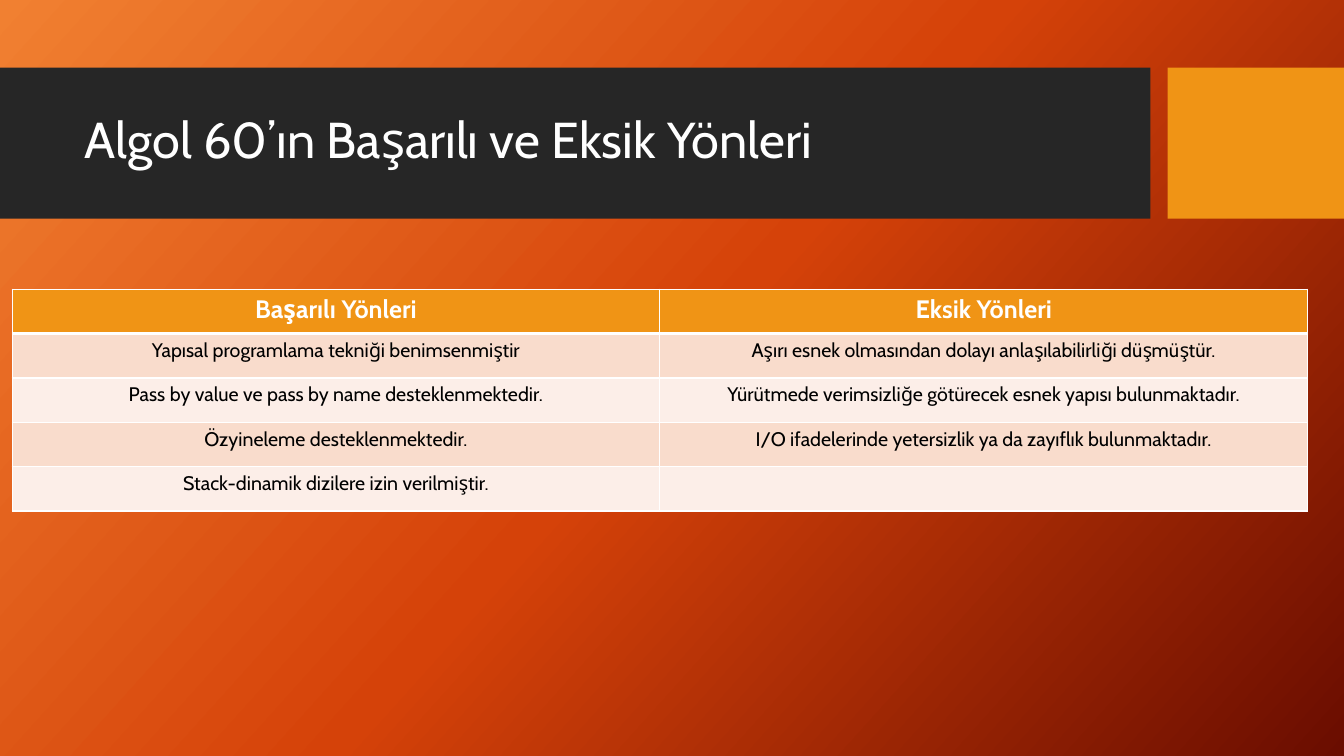
from copy import deepcopy

from lxml.etree import SubElement
from pptx import Presentation
from pptx.dml.color import RGBColor
from pptx.enum.shapes import MSO_SHAPE
from pptx.enum.text import MSO_ANCHOR, PP_ALIGN
from pptx.oxml.ns import qn
from pptx.util import Emu, Pt

PX = 9144


def px(n):
    return Emu(n * PX)


def rgb(value):
    return RGBColor.from_string(value)


class SlideBuilder:
    """Hold the style and the current slide, and draw each kind of element."""

    font = "Cabin"
    dark, accent, white, black = "262626", "F09415", "FFFFFF", "000000"
    bands = ("F9DCCC", "FCEEE8")

    def __init__(self, prs):
        self.s = prs.slides.add_slide(prs.slide_layouts[5])

    def background(self, stops, angle):
        fill = self.s.background.fill
        fill.gradient()
        fill.gradient_angle = 360 - angle
        gs_list = self.s._element.find(".//" + qn("a:gsLst"))
        gs_list.append(deepcopy(gs_list[-1]))
        for stop, (position, color) in zip(fill.gradient_stops, stops):
            stop.position = position
            stop.color.rgb = rgb(color)

    def bar(self, box, color):
        sp = self.s.shapes.add_shape(MSO_SHAPE.RECTANGLE, *map(px, box))
        sp.shadow.inherit = False
        sp.fill.solid()
        sp.fill.fore_color.rgb = rgb(color)
        sp.line.fill.background()

    def add_text(self, tf, text, align, color, **fmt):
        p = tf.paragraphs[0]
        p.alignment = align
        r = p.add_run()
        r.text = text
        r.font.color.rgb = rgb(color)
        for name, value in {"name": self.font, **fmt}.items():
            setattr(r.font, name, value)
        return p

    def title(self, text, box):
        sp = self.s.shapes.title
        for name, value in zip(("left", "top", "width", "height"), box):
            setattr(sp, name, px(value))
        tf = sp.text_frame
        tf.word_wrap = True
        tf.vertical_anchor = MSO_ANCHOR.MIDDLE
        p = self.add_text(tf, text, PP_ALIGN.LEFT, self.white, size=Pt(36))
        p.line_spacing = 0.9
        self.s.shapes._spTree.append(sp._element)

    def borders(self, cell, **widths):
        tc_pr = cell._tc.get_or_add_tcPr()
        for side in "LRTB":
            ln = SubElement(tc_pr, qn("a:ln" + side), w=str(Pt(widths.get(side, 1))))
            fill = SubElement(ln, qn("a:solidFill"))
            SubElement(fill, qn("a:srgbClr"), val=self.white)

    def table(self, rows, box, row_height):
        shape = self.s.shapes.add_table(len(rows), len(rows[0]), *map(px, box))
        table = shape.table
        for i, row in enumerate(rows):
            table.rows[i].height = px(row_height)
            header = i == 0
            edge = {0: {"B": 3}, 1: {"T": 3}}.get(i, {})
            color = self.white if header else self.black
            fmt = {"size": Pt(18 if header else 14), "bold": header}
            for j, text in enumerate(row):
                cell = table.cell(i, j)
                self.borders(cell, **edge)
                cell.fill.solid()
                cell.fill.fore_color.rgb = rgb(self.accent if header else self.bands[(i - 1) % 2])
                if text:
                    self.add_text(cell.text_frame, text, PP_ALIGN.CENTER, color, **fmt)


def main():
    prs = Presentation()
    prs.slide_width, prs.slide_height = px(1333), px(750)

    slide = SlideBuilder(prs)
    slide.background([(0, "F18031"), (0.5, "D54209"), (1, "6A0D00")], 42)
    slide.bar((0, 67, 1141, 150), slide.dark)
    slide.bar((1158, 67, 175, 150), slide.accent)
    slide.title("Algol 60’ın Başarılı ve Eksik Yönleri", (74, 82, 1051, 118))
    rows = [
        ("Başarılı Yönleri", "Eksik Yönleri"),
        ("Yapısal programlama tekniği benimsenmiştir",
         "Aşırı esnek olmasından dolayı anlaşılabilirliği düşmüştür."),
        ("Pass by value ve pass by name desteklenmektedir.",
         "Yürütmede verimsizliğe götürecek esnek yapısı bulunmaktadır."),
        ("Özyineleme desteklenmektedir.",
         "I/O ifadelerinde yetersizlik ya da zayıflık bulunmaktadır."),
        ("Stack-dinamik dizilere izin verilmiştir.", ""),
    ]
    slide.table(rows, (12, 287, 1285, 219), 44)
    prs.save("out.pptx")


if __name__ == "__main__":
    main()
